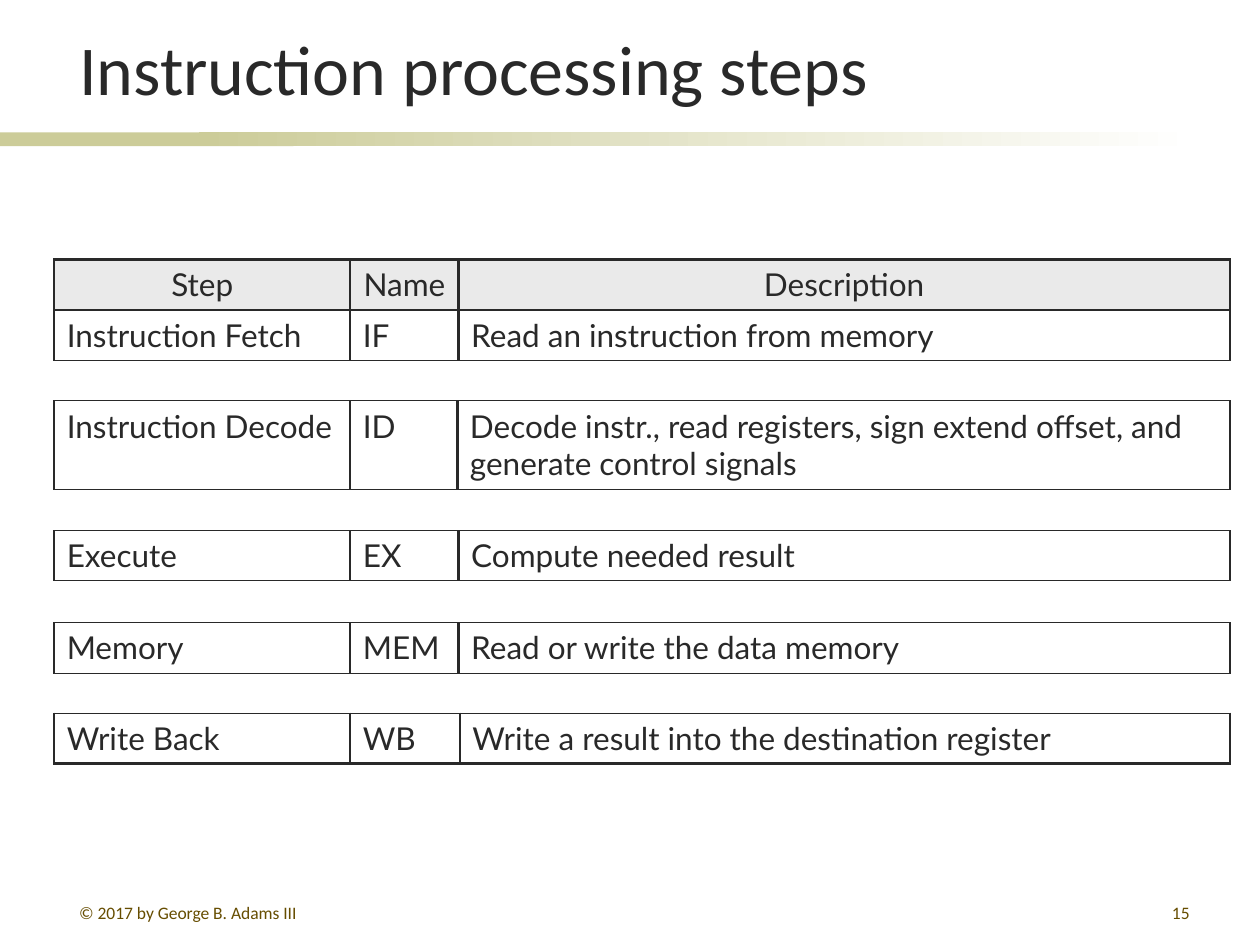
from pptx import Presentation
from pptx.dml.color import RGBColor
from pptx.enum import shapes, text
from pptx.oxml import parse_xml
from pptx.oxml.ns import nsdecls
from pptx.util import Inches, Pt

COLORS = {"ink": "292929", "footer": "664D00", "khaki": "CCCC99",
          "white": "FFFFFF", "header": "EAEAEA"}
THICK, THIN = 1.5, 0.5
ROW_H, LINE_H = 0.4, 0.3
TABLE_LEFT, TABLE_W, STEP_W = 0.43, 9.33, 2.35

TITLE = "Instruction processing steps"
FOOTER = "© 2017 by George B. Adams III"
PAGE = "15"
HEADER = ("Step", "Name", "Description")
# Each table: top, width of the name column, lines per row, rows
TABLES = [
    (2.06, 0.86, 1, [HEADER, ("Instruction Fetch", "IF", "Read an instruction from memory")]),
    (3.18, 0.85, 2, [("Instruction Decode", "ID",
                      "Decode instr., read registers, sign extend offset, and generate control signals")]),
    (4.21, 0.86, 1, [("Execute", "EX", "Compute needed result")]),
    (4.94, 0.86, 1, [("Memory", "MEM", "Read or write the data memory")]),
    (5.66, 0.87, 1, [("Write Back", "WB", "Write a result into the destination register")]),
]


def rgb(name):
    return RGBColor.from_string(COLORS[name])


def style(p, font, size, color, align=text.PP_ALIGN.LEFT):
    p.alignment = align
    for r in p.runs:
        r.font.name, r.font.size = font, Pt(size)
        r.font.color.rgb = rgb(color)


def add_text(s, box, words, size, color, align=text.PP_ALIGN.LEFT, anchor=text.MSO_ANCHOR.TOP):
    tf = s.shapes.add_textbox(*map(Inches, box)).text_frame
    tf.word_wrap = True
    tf.vertical_anchor = anchor
    tf.text = words
    style(tf.paragraphs[0], "Calibri", size, color, align)


def add_bar(s, left, width):
    sp = s.shapes.add_shape(shapes.MSO_SHAPE.RECTANGLE, Inches(left), Inches(1.05),
                            Inches(width), Inches(0.11))
    sp.shadow.inherit = False
    sp.line.fill.background()
    return sp.fill


def set_borders(cell, top, bottom):
    tc_pr = cell._tc.get_or_add_tcPr()
    sides = (("lnL", THICK), ("lnR", THICK), ("lnT", top), ("lnB", bottom))
    for i, (tag, width) in enumerate(sides):
        tc_pr.insert(i, parse_xml(
            f'<a:{tag} {nsdecls("a")} w="{Pt(width)}"><a:solidFill>'
            f'<a:srgbClr val="{COLORS["ink"]}"/></a:solidFill></a:{tag}>'))


def add_table(s, top, name_w, lines, rows):
    height = ROW_H + (lines - 1) * LINE_H
    table = s.shapes.add_table(len(rows), 3, Inches(TABLE_LEFT), Inches(top),
                               Inches(TABLE_W), Inches(height * len(rows))).table
    table.first_row = table.horz_banding = False
    for col, width in zip(table.columns, (STEP_W, name_w, TABLE_W - STEP_W - name_w)):
        col.width = Inches(width)
    for i, row in enumerate(rows):
        table.rows[i].height = Inches(height)
        is_header = row is HEADER
        above = THICK if is_header or HEADER in rows else THIN
        below = THICK if is_header or row is TABLES[-1][3][-1] else THIN
        for j, words in enumerate(row):
            cell = table.cell(i, j)
            cell.text = words
            style(cell.text_frame.paragraphs[0], "Lato", 18, "ink",
                  text.PP_ALIGN.CENTER if is_header else text.PP_ALIGN.LEFT)
            if is_header:
                cell.fill.solid()
                cell.fill.fore_color.rgb = rgb("header")
            else:
                cell.fill.background()
            set_borders(cell, above, below)


def main():
    prs = Presentation()
    prs.slide_width, prs.slide_height = Inches(10), Inches(7.5)
    s = prs.slides.add_slide(prs.slide_layouts[6])

    # Rule under the title: solid, then fading to white
    solid = add_bar(s, 0, 2.33)
    solid.solid()
    solid.fore_color.rgb = rgb("khaki")
    fade = add_bar(s, 1.58, 7.92)
    fade.gradient()
    fade.gradient_angle = 0
    for stop, color, position in zip(fade.gradient_stops, ("khaki", "white"), (0, 1)):
        stop.color.rgb = rgb(color)
        stop.position = position

    # Title
    add_text(s, (0.53, 0.11, 9.01, 0.81), TITLE, 40, "ink", anchor=text.MSO_ANCHOR.BOTTOM)

    # One table per processing step
    for spec_row in TABLES:
        add_table(s, *spec_row)

    # Footer
    add_text(s, (0.53, 7.11, 2.17, 0.21), FOOTER, 10, "footer")
    add_text(s, (7.46, 7.11, 2.08, 0.21), PAGE, 10, "footer", text.PP_ALIGN.RIGHT)

    prs.save("out.pptx")


if __name__ == "__main__":
    main()
